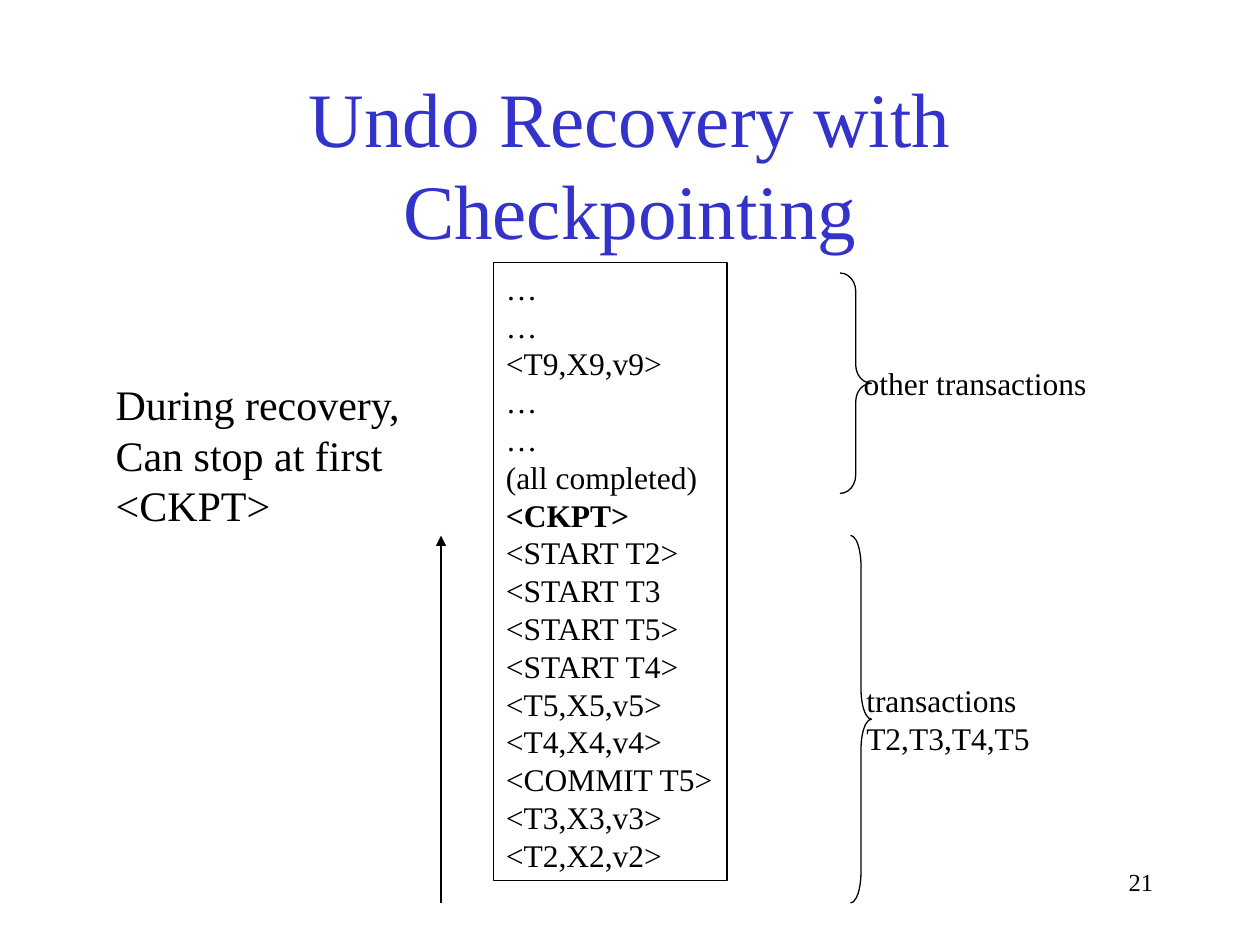
from dataclasses import dataclass

from lxml import etree
from pptx import Presentation
from pptx.dml.color import RGBColor
from pptx.enum import shapes, text
from pptx.oxml import ns
from pptx.util import Pt


@dataclass(frozen=True)
class Theme:
    font: str = "Times New Roman"
    ink: RGBColor = RGBColor(0x00, 0x00, 0x00)
    title_ink: RGBColor = RGBColor(0x33, 0x33, 0xCC)
    title: int = 44
    note: int = 24
    body: int = 18
    number: int = 14
    line: float = 0.75


@dataclass(frozen=True)
class Box:
    left: float
    top: float
    width: float
    height: float

    def lengths(self):
        return Pt(self.left), Pt(self.top), Pt(self.width), Pt(self.height)


@dataclass(frozen=True)
class Brace:
    box: Box
    curl: float  # corner height as a share of the brace width
    label: str
    label_left: float


THEME = Theme()
CHECKPOINT = "<CKPT>"
LOG = ["…", "…", "<T9,X9,v9>", "…", "…", "(all completed)", CHECKPOINT,
       "<START T2>", "<START T3", "<START T5>", "<START T4>", "<T5,X5,v5>",
       "<T4,X4,v4>", "<COMMIT T5>", "<T3,X3,v3>", "<T2,X2,v2>"]
NOTE = ["During recovery,", "Can stop at first", CHECKPOINT]
BRACES = [
    Brace(Box(480, 156, 18, 126), 0.58, "other transactions", 493.5),
    Brace(Box(486, 306, 12, 210), 1.46, "transactions T2,T3,T4,T5", 495),
]


def write(s, lines: list[str], size: float, color=THEME.ink,
          align=text.PP_ALIGN.LEFT, anchor=text.MSO_ANCHOR.TOP,
          wrap: bool = False, bold_line: str = ""):
    tf = s.text_frame
    tf.word_wrap = wrap
    tf.vertical_anchor = anchor
    for i, line in enumerate(lines):
        p = tf.paragraphs[0] if i == 0 else tf.add_paragraph()
        p.alignment = align
        r = p.add_run()
        r.text = line
        r.font.name = THEME.font
        r.font.size = Pt(size)
        r.font.bold = line == bold_line
        r.font.color.rgb = color


def add_text(slide, box: Box, lines: list[str], size: float, **style):
    s = slide.shapes.add_textbox(*box.lengths())
    write(s, lines, size, **style)
    return s


def add_outline(slide, kind, box: Box):
    """Add an unfilled preset shape with a thin line."""
    s = slide.shapes.add_shape(kind, *box.lengths())
    s.shadow.inherit = False
    s.fill.background()
    s.line.color.rgb = THEME.ink
    s.line.width = Pt(THEME.line)
    return s


def add_brace(slide, brace: Brace):
    s = add_outline(slide, shapes.MSO_SHAPE.RIGHT_BRACE, brace.box)
    s.adjustments[0] = brace.curl
    height = 30
    middle = brace.box.top + brace.box.height / 2
    label = add_text(slide, Box(brace.label_left, middle - height / 2, 190, height),
                     [brace.label], THEME.body, anchor=text.MSO_ANCHOR.MIDDLE)
    label.text_frame.margin_left = 0


def add_arrow(slide, x: float, start: float, end: float):
    s = slide.shapes.add_connector(
        shapes.MSO_CONNECTOR.STRAIGHT, Pt(x), Pt(start), Pt(x), Pt(end))
    s.line.color.rgb = THEME.ink
    s.line.width = Pt(THEME.line)
    etree.SubElement(s.line._get_or_add_ln(), ns.qn("a:tailEnd"), type="triangle")
    etree.SubElement(s._element.spPr, ns.qn("a:effectLst"))


def main():
    prs = Presentation()
    prs.slide_width, prs.slide_height = Pt(720), Pt(540)
    slide = prs.slides.add_slide(prs.slide_layouts[6])

    add_text(slide, Box(516, 492, 150, 36), ["21"], THEME.number,
             align=text.PP_ALIGN.RIGHT, wrap=True)
    add_text(slide, Box(54, 48, 612, 90), ["Undo Recovery with Checkpointing"],
             THEME.title, color=THEME.title_ink, align=text.PP_ALIGN.CENTER,
             anchor=text.MSO_ANCHOR.MIDDLE, wrap=True)
    log = add_outline(slide, shapes.MSO_SHAPE.RECTANGLE, Box(282, 150, 133.5, 353))
    write(log, LOG, THEME.body, bold_line=CHECKPOINT)
    add_text(slide, Box(59, 213, 178, 94), NOTE, THEME.note)
    add_arrow(slide, 252, 516, 306)
    for brace in BRACES:
        add_brace(slide, brace)

    prs.save("out.pptx")


if __name__ == "__main__":
    main()
